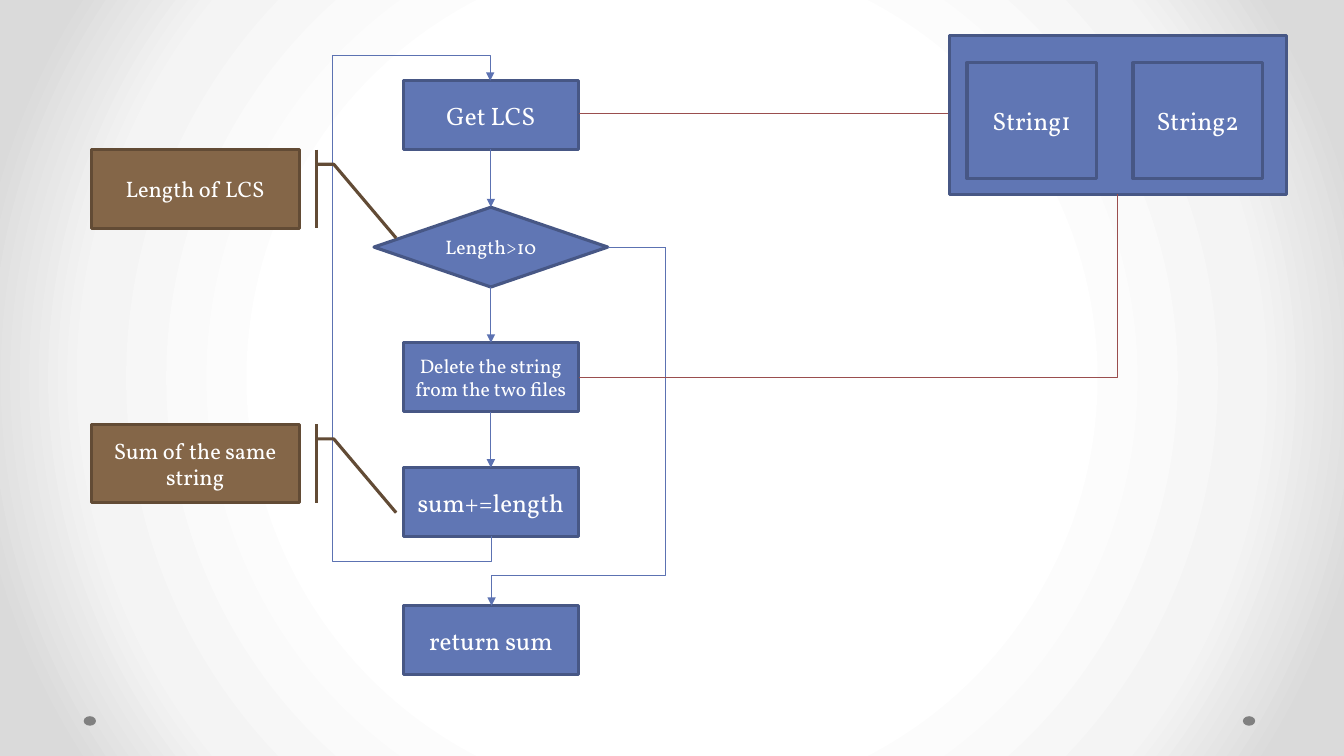
import pptx
import pptx.util
import pptx.oxml
import pptx.oxml.ns
import pptx.dml.color
import pptx.enum.shapes
import pptx.enum.text

SHAPE = pptx.enum.shapes.MSO_SHAPE
ALIGN = pptx.enum.text.PP_ALIGN
ANCHOR = pptx.enum.text.MSO_ANCHOR
Pt = pptx.util.Pt
NS = pptx.oxml.ns.nsdecls("a")


class Theme:
    font = "Vollkorn"
    text = "FFFFFF"
    blue = ("6076B4", "475785")
    brown = ("846648", "624B35")
    dot = ("808080", None)
    flow = "5C72B2"
    data = "9A4E4E"
    glow = ((50, "FFFFFF"), (76, "F4F4F4"), (92, "DADADA"))
    large, medium, small = 18, 16, 14
    outline, hairline = 2.25, 0.75


def rgb(value):
    return pptx.dml.color.RGBColor.from_string(value)


def apply(target, **values):
    for name, value in values.items():
        setattr(target, name, value)


class Diagram:
    def __init__(self, prs, theme):
        self.theme = theme
        self.s = prs.slides.add_slide(prs.slide_layouts[6])

    def background(self):
        self.s.background.fill.gradient()
        grad = self.s.element.xpath(".//p:bg//a:gradFill")[0]
        for child in list(grad):
            grad.remove(child)
        stops = "".join(
            f'<a:gs pos="{pos * 1000}"><a:srgbClr val="{color}"/></a:gs>'
            for pos, color in self.theme.glow)
        grad.append(pptx.oxml.parse_xml(f"<a:gsLst {NS}>{stops}</a:gsLst>"))
        grad.append(pptx.oxml.parse_xml(
            f'<a:path {NS} path="circle">'
            '<a:fillToRect l="50000" t="50000" r="50000" b="50000"/></a:path>'))

    def shape(self, kind, box, colors, text="", size=Theme.large):
        sp = self.s.shapes.add_shape(kind, *map(Pt, box))
        sp.shadow.inherit = False
        fill, line = colors
        sp.fill.solid()
        sp.fill.fore_color.rgb = rgb(fill)
        if line:
            sp.line.color.rgb = rgb(line)
            sp.line.width = Pt(self.theme.outline)
        else:
            sp.line.fill.background()
        if text:
            self.label(sp.text_frame, text, size)
        return sp

    def label(self, tf, text, size):
        apply(tf, word_wrap=True, vertical_anchor=ANCHOR.MIDDLE)
        p = tf.paragraphs[0]
        p.alignment = ALIGN.CENTER
        r = p.add_run()
        r.text = text
        apply(r.font, name=self.theme.font, size=Pt(size))
        r.font.color.rgb = rgb(self.theme.text)

    def callout(self, box, text):
        sp = self.shape(SHAPE.LINE_CALLOUT_2_BORDER_AND_ACCENT_BAR, box,
                        self.theme.brown, text, self.theme.medium)
        sp.element.spPr.xfrm.set("flipH", "1")

    def connector(self, start, end, color, arrow=False, preset="line",
                  adjust=(), turned=False):
        """Join two points; a turned connector leaves its start vertically."""
        (x1, y1), (x2, y2) = start, end
        cx, cy = (x1 + x2) / 2, (y1 + y2) / 2
        dx, dy = (y2 - y1, x1 - x2) if turned else (x2 - x1, y2 - y1)
        line = self.s.shapes.add_connector(
            pptx.enum.shapes.MSO_CONNECTOR.STRAIGHT,
            Pt(cx - dx / 2), Pt(cy - dy / 2), Pt(cx + dx / 2), Pt(cy + dy / 2))
        line.line.color.rgb = rgb(color)
        line.line.width = Pt(self.theme.hairline)
        props = line.element.spPr
        if turned:
            props.xfrm.set("rot", "5400000")
        guides = "".join(
            f'<a:gd name="adj{i}" fmla="val {round(value * 100000)}"/>'
            for i, value in enumerate(adjust, 1))
        props.replace(props.prstGeom, pptx.oxml.parse_xml(
            f'<a:prstGeom {NS} prst="{preset}"><a:avLst>{guides}</a:avLst></a:prstGeom>'))
        if arrow:
            props.ln.append(pptx.oxml.parse_xml(f'<a:tailEnd {NS} type="triangle"/>'))
        props.append(pptx.oxml.parse_xml(f"<a:effectLst {NS}/>"))


def main():
    prs = pptx.Presentation()
    apply(prs, slide_width=Pt(960), slide_height=Pt(540))
    t = Theme
    d = Diagram(prs, t)
    d.background()
    for x in (59.8, 887.8):
        d.shape(SHAPE.OVAL, (x, 511.6, 8.8, 6.8), t.dot)

    left, width, height = 288, 125.3, 49.2
    right, center = left + width, left + width / 2
    get_y, test_y, delete_y, sum_y, return_y = 57.6, 148, 244.8, 334, 432.7
    test_w, test_h = 167, 57
    test_right, test_mid = center + test_w / 2, test_y + test_h / 2
    exit_x = 475.3

    for y, text, size in ((get_y, "Get LCS", t.large),
                          (delete_y, "Delete the string from the two files", t.small),
                          (sum_y, "sum+=length", t.large),
                          (return_y, "return sum", t.large)):
        d.shape(SHAPE.RECTANGLE, (left, y, width, height), t.blue, text, size)
    d.shape(SHAPE.FLOWCHART_DECISION, (center - test_w / 2, test_y, test_w, test_h),
            t.blue, "Length>10", t.small)

    for y1, y2 in ((get_y + height, test_y), (test_y + test_h, delete_y),
                   (delete_y + height, sum_y)):
        d.connector((center, y1), (center, y2), t.flow, arrow=True)
    d.connector((center + 0.5, sum_y + height), (center - 0.5, get_y), t.flow,
                True, "bentConnector5", (-0.055, 114.43, 1.055), turned=True)
    d.connector((exit_x, test_mid), (center + 0.5, return_y), t.flow,
                True, "bentConnector3", (0.917,), turned=True)
    d.connector((test_right, test_mid), (exit_x, test_mid), t.flow)

    files_x, files_y, files_w, files_h = 678, 25.2, 241, 113.6
    d.connector((right, 80.8), (files_x, 80.8), t.data)
    d.shape(SHAPE.RECTANGLE, (files_x, files_y, files_w, files_h), t.blue)
    for i in range(2):
        d.shape(SHAPE.RECTANGLE, (690.7 + i * 118.6, 44.8, 92.5, 82.8),
                t.blue, f"String{i + 1}")
    d.connector((right, delete_y + height / 2),
                (files_x + files_w / 2, files_y + files_h),
                t.data, preset="bentConnector2")

    for y, text in ((303, "Sum of the same string"), (106.8, "Length of LCS")):
        d.callout((65.2, y, 148.5, 56.2), text)
    prs.save("out.pptx")


if __name__ == "__main__":
    main()
